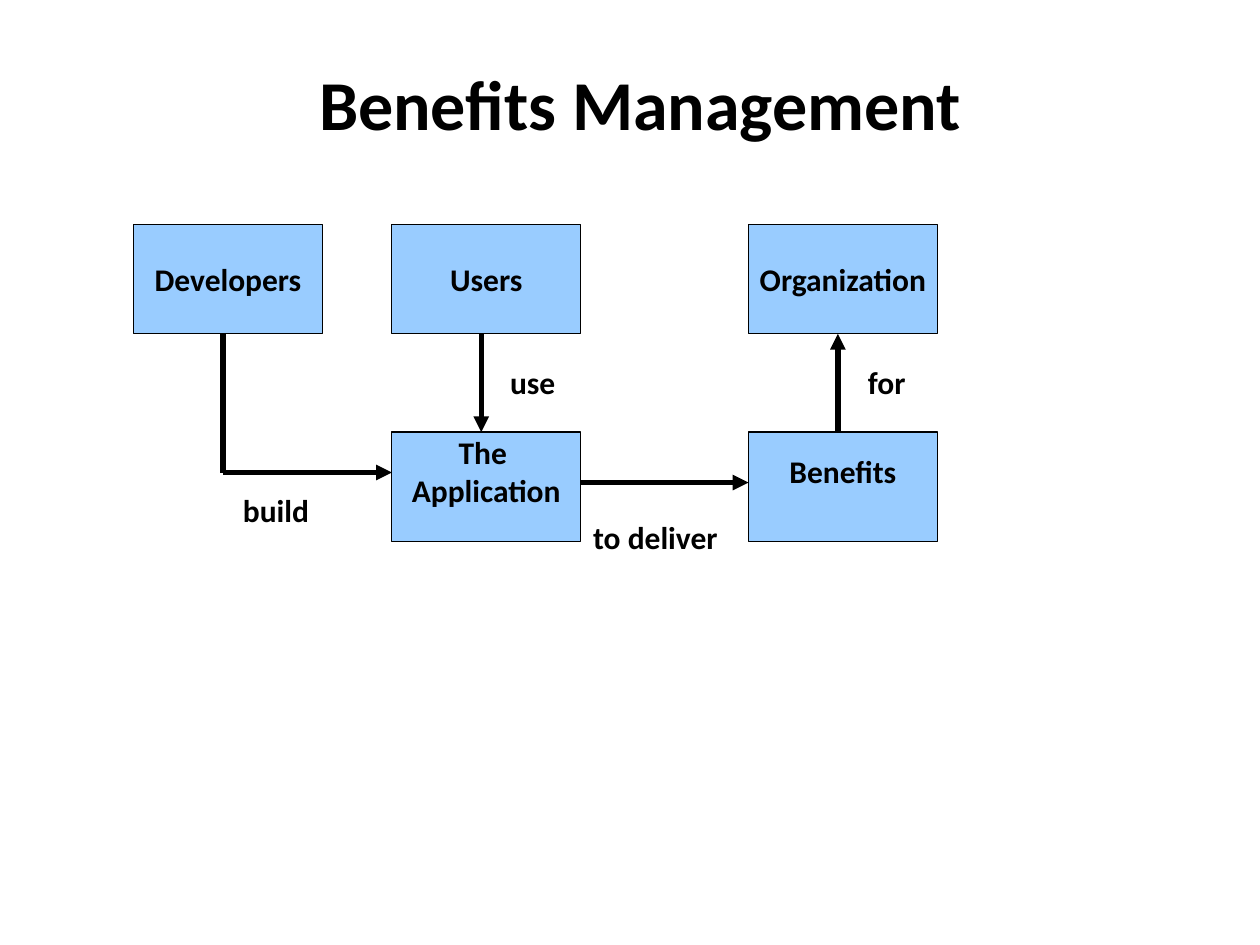
from pptx import Presentation
from pptx.dml.color import RGBColor
from pptx.enum.shapes import MSO_CONNECTOR, MSO_SHAPE
from pptx.enum.text import MSO_ANCHOR, PP_ALIGN
from pptx.util import Inches, Pt
from lxml.etree import SubElement
from pptx.oxml.ns import qn

COLORS = {"box": "99CCFF", "ink": "000000"}
FONT = "Calibri"
TITLE = "Benefits Management"

# Grid of boxes, in inches
BOX_WIDTH, BOX_HEIGHT = 1.5, 0.87
COLUMNS = {"left": 1.06, "middle": 3.11, "right": 5.94}
ROWS = {"top": 1.78, "bottom": 3.43}
BOTTOM_INSET = {"top": 0, "bottom": 0.26}  # lifts the text of the lower row
ARROW_OFFSET = 0.71  # vertical lines, from the left side of a box
LABEL_HEIGHT = 0.4

# Lines of text, column, row
BOXES = [
    (["Developers"], "left", "top"),
    (["Users"], "middle", "top"),
    (["Organization"], "right", "top"),
    (["The ", "Application"], "middle", "bottom"),
    (["Benefits"], "right", "bottom"),
]
# Text, left, top, width
LABELS = [
    ("build", 1.83, 3.85, 0.73),
    ("use", 3.95, 2.83, 0.56),
    ("to deliver", 4.61, 4.06, 1.2),
    ("for", 6.79, 2.83, 0.5),
]

# Line ends follow from the grid: start, end, arrowhead
developer_x, user_x, benefit_x = (x + ARROW_OFFSET for x in COLUMNS.values())
top_edge = ROWS["top"] + BOX_HEIGHT
bottom_edge = ROWS["bottom"]
build_y, deliver_y = 3.75, 3.83
LINES = [
    ((developer_x, top_edge), (developer_x, build_y), False),
    ((developer_x, build_y), (COLUMNS["middle"], build_y), True),
    ((user_x, top_edge), (user_x, bottom_edge), True),
    ((COLUMNS["middle"] + BOX_WIDTH, deliver_y), (COLUMNS["right"], deliver_y), True),
    ((benefit_x, bottom_edge), (benefit_x, top_edge), True),
]


def color(name):
    return RGBColor.from_string(COLORS[name])


def write(text_frame, lines, size=18, align=PP_ALIGN.CENTER):
    text_frame.text = "\n".join(lines)
    for paragraph in text_frame.paragraphs:
        paragraph.alignment = align
        font = paragraph.font
        font.name, font.size, font.bold = FONT, Pt(size), True
        font.color.rgb = color("ink")


def add_box(slide, lines, column, row):
    shape = slide.shapes.add_shape(
        MSO_SHAPE.RECTANGLE, Inches(COLUMNS[column]), Inches(ROWS[row]),
        Inches(BOX_WIDTH), Inches(BOX_HEIGHT))
    shape.shadow.inherit = False
    shape.fill.solid()
    shape.fill.fore_color.rgb = color("box")
    shape.line.color.rgb = color("ink")
    shape.line.width = Pt(0.75)
    frame = shape.text_frame
    frame.word_wrap = False
    frame.vertical_anchor = MSO_ANCHOR.MIDDLE
    frame.margin_top = 0
    frame.margin_bottom = Inches(BOTTOM_INSET[row])
    write(frame, lines)


def add_line(slide, start, end, arrow):
    connector = slide.shapes.add_connector(
        MSO_CONNECTOR.STRAIGHT, *(Inches(value) for value in start + end))
    connector.line.color.rgb = color("ink")
    connector.line.width = Pt(3)
    if arrow:
        SubElement(connector.line._get_or_add_ln(), qn("a:tailEnd"), type="triangle")
    SubElement(connector._element.spPr, qn("a:effectLst"))


def add_label(slide, text, left, top, width):
    label = slide.shapes.add_textbox(
        Inches(left), Inches(top), Inches(width), Inches(LABEL_HEIGHT))
    label.text_frame.word_wrap = False
    write(label.text_frame, [text], align=PP_ALIGN.LEFT)


def main():
    presentation = Presentation()
    presentation.slide_width, presentation.slide_height = Inches(10), Inches(7.5)
    slide = presentation.slides.add_slide(presentation.slide_layouts[5])

    # Title
    title = slide.shapes.title
    title.left, title.top = Inches(0.83), Inches(0.33)
    title.width, title.height = Inches(8.5), Inches(0.97)
    title.text_frame.vertical_anchor = MSO_ANCHOR.MIDDLE
    write(title.text_frame, [TITLE], size=40)

    # Diagram
    for box in BOXES:
        add_box(slide, *box)
    for line in LINES:
        add_line(slide, *line)
    for label in LABELS:
        add_label(slide, *label)

    presentation.save("out.pptx")


if __name__ == "__main__":
    main()
